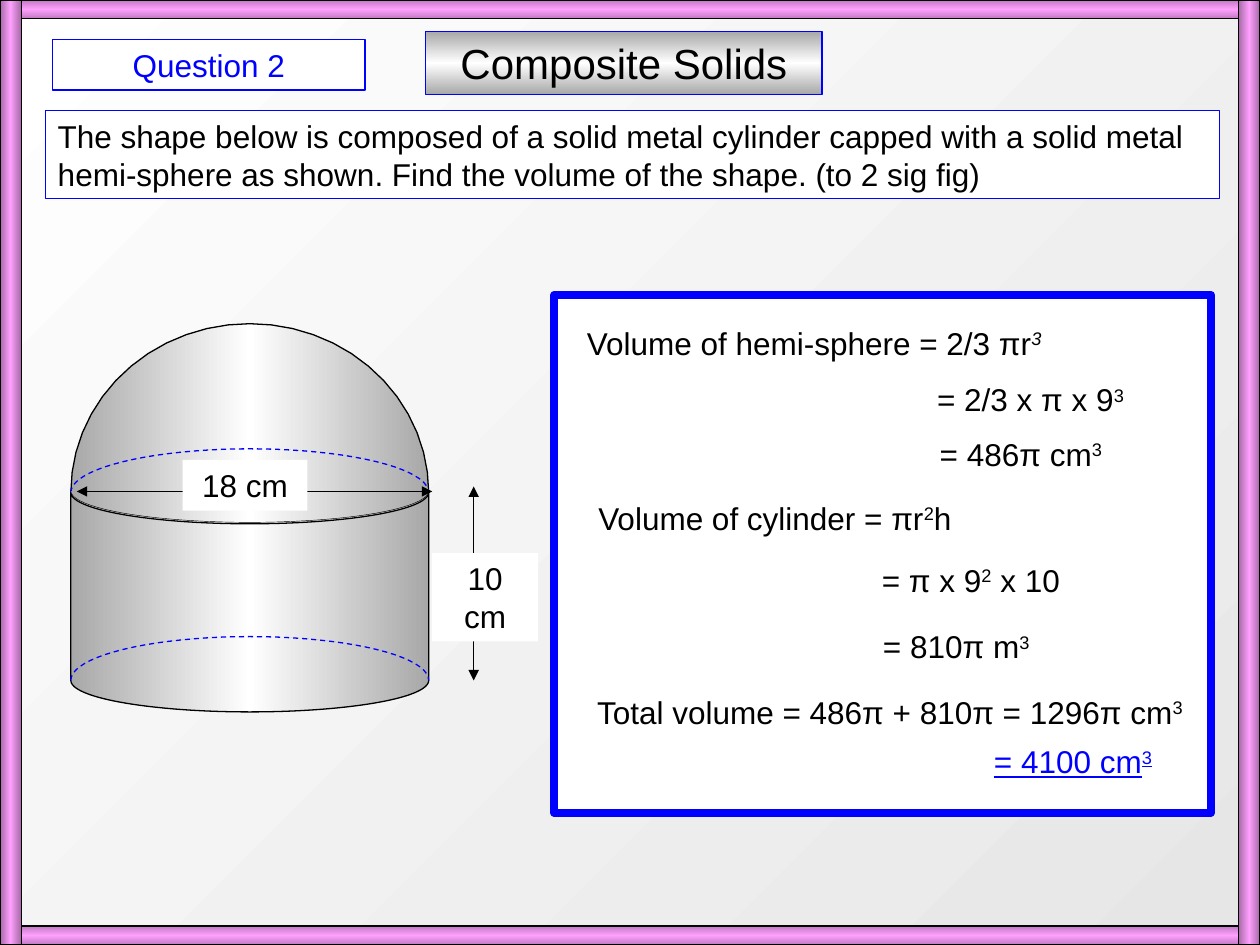
import copy
import math

import pptx
import pptx.dml.color
import pptx.enum.dml
import pptx.enum.shapes
import pptx.enum.text
import pptx.oxml
import pptx.oxml.ns
import pptx.util

Pt = pptx.util.Pt
SHAPE = pptx.enum.shapes.MSO_SHAPE
ALIGN = pptx.enum.text.PP_ALIGN
qn = pptx.oxml.ns.qn

COLORS = {
    "black": "000000", "white": "FFFFFF", "blue": "0000FF",
    "steel": "A8A8A8", "pale": "E6E6E6",
    "pink": "FEA0FE", "plum": "C079C0", "grape": "A769A7",
}
METAL = ("steel", "white", "steel")
LEFT, WIDTH = 40.5, 204.5


def rgb(name):
    return pptx.dml.color.RGBColor.from_string(COLORS[name])


def set_gradient(fill, parent, names, angle):
    fill.gradient()
    fill.gradient_angle = angle
    stops = parent.find(".//" + qn("a:gsLst"))
    for _ in names[2:]:
        stops.insert(1, copy.deepcopy(stops[0]))
    for i, (stop, name) in enumerate(zip(fill.gradient_stops, names)):
        stop.color.rgb = rgb(name)
        stop.position = i / (len(names) - 1)


def style(sp, fill, angle=0, line=None, weight=0.75, dash=False):
    sp.shadow.inherit = False
    if isinstance(fill, tuple):
        set_gradient(sp.fill, sp._element.spPr, fill, angle)
    else:
        sp.fill.solid()
        sp.fill.fore_color.rgb = rgb(fill)
    if line is None:
        sp.line.fill.background()
        return
    sp.line.color.rgb = rgb(line)
    sp.line.width = Pt(weight)
    if dash:
        sp.line.dash_style = pptx.enum.dml.MSO_LINE.DASH


def add_shape(s, kind, x, y, w, h, fill, **look):
    sp = s.shapes.add_shape(kind, Pt(x), Pt(y), Pt(w), Pt(h))
    style(sp, fill, **look)
    return sp


def write(sp, text, size=18, color="black", align=ALIGN.LEFT, underline=False):
    tf = sp.text_frame
    tf.word_wrap = True
    tf.vertical_anchor = pptx.enum.text.MSO_ANCHOR.TOP
    p = tf.paragraphs[0]
    p.alignment = align
    for i, part in enumerate(text.split("^")):
        r = p.add_run()
        r.text = part
        r.font.name = "Arial"
        r.font.size = Pt(size)
        r.font.color.rgb = rgb(color)
        if underline:
            r.font.underline = True
        if i % 2:
            r.font._element.set("baseline", "30000")
    return p


def add_text(s, x, y, w, text, **fmt):
    sp = s.shapes.add_textbox(Pt(x), Pt(y), Pt(w), Pt(29))
    return write(sp, text, **fmt)


def add_arc(s, y, rise, steps=40, **look):
    radius = WIDTH / 2
    points = [
        (Pt(LEFT + radius - radius * math.cos(math.pi * i / steps)),
         Pt(y - rise * math.sin(math.pi * i / steps)))
        for i in range(steps + 1)
    ]
    fb = s.shapes.build_freeform(*points[0], scale=1.0)
    fb.add_line_segments(points[1:], close=False)
    style(fb.convert_to_shape(), METAL, **look)


def add_arrow(s, x1, y1, x2, y2):
    c = s.shapes.add_connector(
        pptx.enum.shapes.MSO_CONNECTOR.STRAIGHT, Pt(x1), Pt(y1), Pt(x2), Pt(y2))
    c.line.color.rgb = rgb("black")
    c.line.width = Pt(0.75)
    ln = c.line._get_or_add_ln()
    for tag in ("a:headEnd", "a:tailEnd"):
        ln.append(pptx.oxml.parse_xml(
            f'<{tag} {pptx.oxml.ns.nsdecls("a")} type="triangle"/>'))
    c._element.spPr.append(pptx.oxml.parse_xml(
        f'<a:effectLst {pptx.oxml.ns.nsdecls("a")}/>'))


def add_solid(s):
    add_shape(s, SHAPE.CAN, LEFT, 263.5, WIDTH, 143.3, METAL, line="black")
    add_arc(s, 281.5, 96.5, steps=26, line="black")
    add_arc(s, 281.5, 25, line="blue", dash=True)
    add_arc(s, 280.5, -18, line="black", weight=0.25)
    add_arc(s, 388.8, 25, line="blue", dash=True)


def add_frame(s):
    for y in (0, 529.2):
        add_shape(s, SHAPE.RECTANGLE, 0, y, 720, 10.8,
                  ("plum", "pink", "plum"), angle=90, line="black")
    for x in (0, 707.8):
        add_shape(s, SHAPE.RECTANGLE, x, 0, 12.2, 540,
                  ("grape", "pink", "grape"), line="black")


def add_working(s):
    add_shape(s, SHAPE.RECTANGLE, 316.8, 168.5, 375.2, 296,
              "white", line="blue", weight=4.5)
    p = add_text(s, 328.3, 181.4, 318, "Volume of hemi-sphere = 2/3 πr^3")
    p.runs[1].font.italic = True
    for x, y, w, text in (
        (528.4, 213.8, 130, "= 2/3 x π x 9^3"),
        (529.9, 244.8, 129, "= 486π cm^3"),
        (334.8, 281.5, 327, "Volume of cylinder = πr^2^h"),
        (496.8, 316.8, 144, "= π x 9^2^ x 10"),
        (497.5, 355, 114, "= 810π m^3"),
        (334.1, 392.4, 359.3, "Total volume = 486π + 810π = 1296π cm^3"),
    ):
        add_text(s, x, y, w, text)
    add_text(s, 560.9, 420.5, 116.6, "= 4100 cm^3", color="blue", underline=True)


def add_dimensions(s):
    add_arrow(s, 43.9, 280.8, 247, 280.8)
    sp = add_shape(s, SHAPE.RECTANGLE, 104.4, 262.8, 71.3, 29, "white")
    write(sp, "18 cm", align=ALIGN.CENTER)
    add_arrow(s, 270.7, 278, 270.7, 388.8)
    sp = add_shape(s, SHAPE.RECTANGLE, 247, 316.1, 60.5, 50.4, "white")
    write(sp, "10 cm", align=ALIGN.CENTER)


def main():
    prs = pptx.Presentation()
    prs.slide_width, prs.slide_height = Pt(720), Pt(540)
    s = prs.slides.add_slide(prs.slide_layouts[6])
    set_gradient(s.background.fill, s._element, ("pale", "white"), 135)

    sp = add_shape(s, SHAPE.RECTANGLE, 243.2, 18, 226.6, 36, METAL,
                   angle=90, line="blue")
    write(sp, "Composite Solids", size=24, align=ALIGN.CENTER)
    add_solid(s)
    add_frame(s)
    sp = add_shape(s, SHAPE.RECTANGLE, 25.9, 63.2, 671, 50.4, "white", line="blue")
    write(sp, "The shape below is composed of a solid metal cylinder capped with "
              "a solid metal hemi-sphere as shown. Find the volume of the shape. "
              "(to 2 sig fig)")
    add_working(s)
    add_dimensions(s)
    sp = add_shape(s, SHAPE.RECTANGLE, 30, 22.5, 178.6, 29, "white", line="blue")
    write(sp, "Question 2", color="blue", align=ALIGN.CENTER)
    prs.save("out.pptx")


if __name__ == "__main__":
    main()
